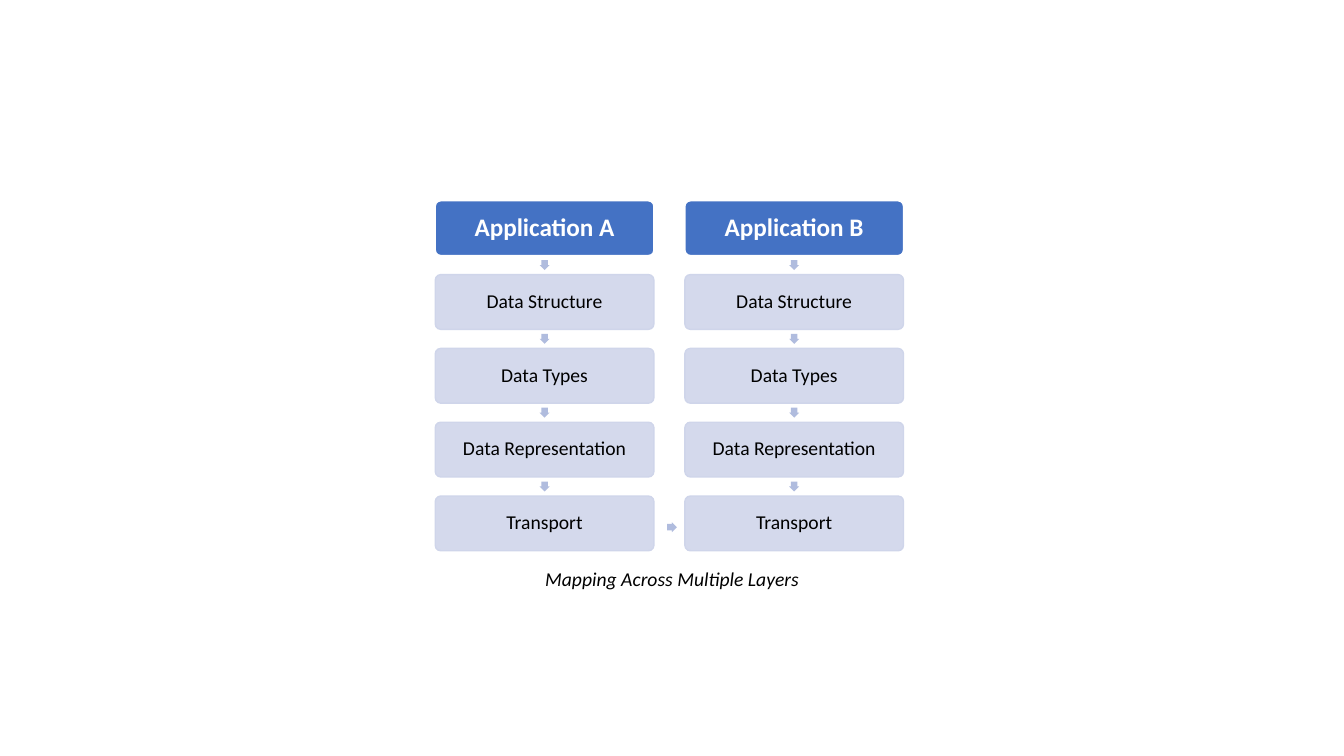
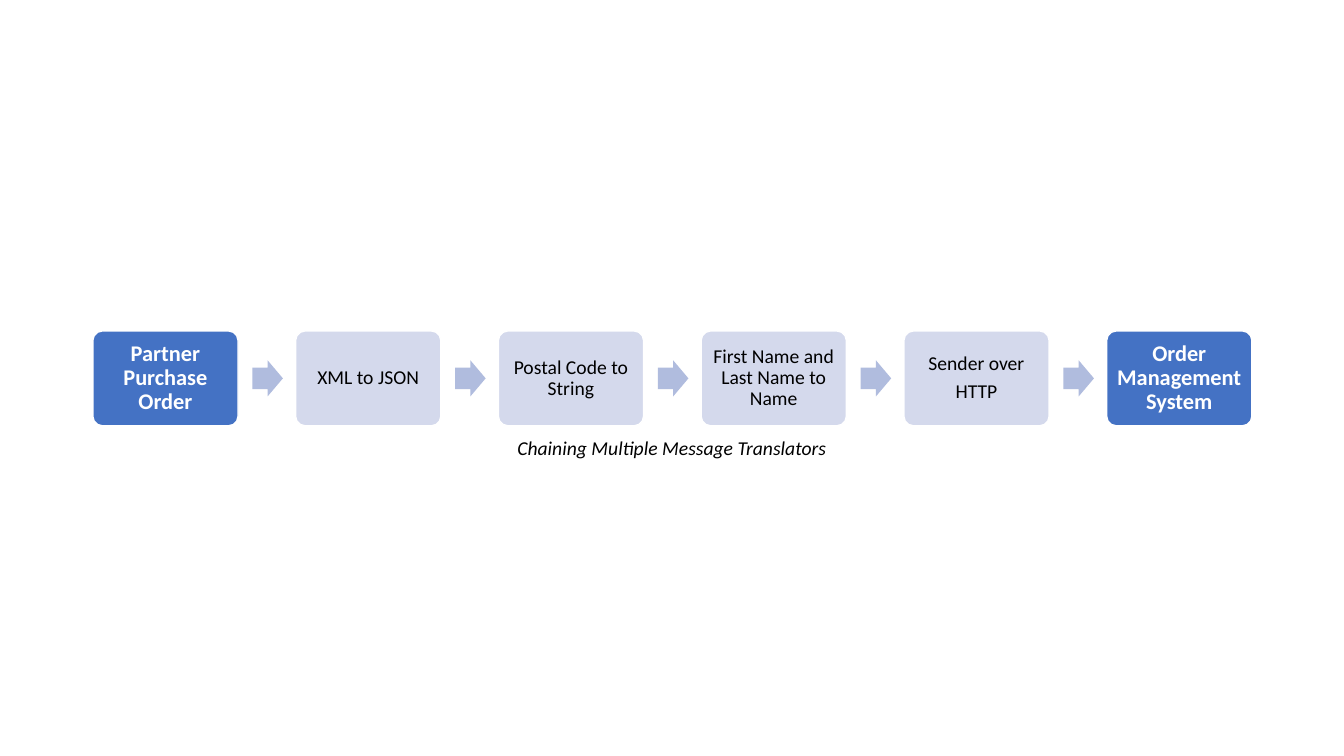
from pptx import Presentation
from pptx.dml.color import RGBColor
from pptx.enum import shapes, text
from pptx.util import Cm, Pt

COLORS = {
    "app": "4472C4", "step": "D4D9EC", "step_edge": "CFD5EA",
    "arrow": "B0BCDE", "white": "FFFFFF", "black": "000000",
}
FONT = "Calibri"
BODY_SIZE = 14
RIGHT = shapes.MSO_SHAPE.RIGHT_ARROW
DOWN = shapes.MSO_SHAPE.DOWN_ARROW

# Content: a list of lines is one paragraph per line
LAYERS = ["Data Structure", "Data Types", "Data Representation", "Transport"]
STACKS = [["Application A"] + LAYERS, ["Application B"] + LAYERS]
STACK_CAPTION = "Mapping Across Multiple Layers"

CHAIN = [
    ["Partner Purchase Order"],
    ["XML to JSON"],
    ["Postal Code to String"],
    ["First Name and Last Name to Name"],
    ["Sender over", "HTTP"],
    ["Order Management System"],
]
CHAIN_CAPTION = "Chaining Multiple Message Translators"


def rgb(name):
    return RGBColor.from_string(COLORS[name])


def add_filled(slide, kind, x, y, w, h, fill, adjustments, edge=None):
    sp = slide.shapes.add_shape(kind, Cm(x), Cm(y), Cm(w), Cm(h))
    sp.shadow.inherit = False
    for i, value in enumerate(adjustments):
        sp.adjustments[i] = value
    sp.fill.solid()
    sp.fill.fore_color.rgb = rgb(fill)
    if edge:
        sp.line.color.rgb = rgb(edge)
        sp.line.width = Pt(1)
    else:
        sp.line.fill.background()
    return sp


def add_run(p, words, size, color, bold=False, italic=False):
    p.alignment = text.PP_ALIGN.CENTER
    r = p.add_run()
    r.text = words
    r.font.name = FONT
    r.font.size = Pt(size)
    r.font.bold = bold
    r.font.italic = italic
    r.font.color.rgb = rgb(color)


def add_box(slide, x, y, w, h, lines, inset, app_size=None, edge="white"):
    """Draw a rounded box; app_size marks an application rather than a step."""
    fill, color = ("app", "white") if app_size else ("step", "black")
    size = app_size or BODY_SIZE
    sp = add_filled(slide, shapes.MSO_SHAPE.ROUNDED_RECTANGLE,
                    x, y, w, h, fill, [0.1], edge)
    tf = sp.text_frame
    tf.word_wrap = True
    tf.vertical_anchor = text.MSO_ANCHOR.MIDDLE
    tf.margin_left = tf.margin_right = Cm(inset)
    tf.margin_top = tf.margin_bottom = Cm(inset)
    for i, line in enumerate(lines):
        p = tf.add_paragraph() if i else tf.paragraphs[0]
        p.line_spacing = 0.9
        if i < len(lines) - 1:
            p.space_after = Pt(round(0.35 * size))
        add_run(p, line, size, color, bold=bool(app_size))


def add_caption(slide, x, y, w, words):
    tf = slide.shapes.add_textbox(Cm(x), Cm(y), Cm(w), Cm(0.86)).text_frame
    tf.word_wrap = False
    add_run(tf.paragraphs[0], words, BODY_SIZE, "black", italic=True)


def build_stacks(slide):
    left, top, w, h = 10.97, 5.06, 5.51, 1.38
    col_pitch, row_pitch = 6.29, 1.86
    arrow, arrow_shape = 0.25, [0.67, 0.5]
    for col, stack in enumerate(STACKS):
        x = left + col * col_pitch
        for row, label in enumerate(stack):
            y = top + row * row_pitch
            if row:
                add_box(slide, x, y, w, h, [label], 0.05, edge="step_edge")
                add_filled(slide, DOWN, x + (w - arrow) / 2,
                           y - (row_pitch - h + arrow) / 2,
                           arrow, arrow, "arrow", arrow_shape)
            else:
                add_box(slide, x, y, w, h, [label], 0.08, app_size=18)
    add_filled(slide, RIGHT, 16.81, 13.16, arrow, arrow, "arrow", arrow_shape)
    add_caption(slide, 13.46, 14.15, 6.96, STACK_CAPTION)


def build_chain(slide):
    left, top, w, h, pitch = 2.34, 8.34, 3.66, 2.39, 5.11
    arrow_w, arrow_h, arrow_gap = 0.77, 0.91, 0.36
    last = len(CHAIN) - 1
    for i, lines in enumerate(CHAIN):
        x = left + i * pitch
        if i in (0, last):
            add_box(slide, x, top, w, h, lines, 0.18, app_size=16)
        else:
            add_box(slide, x, top, w, h, lines, 0.15)
        if i < last:
            add_filled(slide, RIGHT, x + w + arrow_gap, top + (h - arrow_h) / 2,
                       arrow_w, arrow_h, "arrow", [0.6, 0.5])
    add_caption(slide, 12.73, 10.87, 8.41, CHAIN_CAPTION)


def main():
    prs = Presentation()
    prs.slide_width, prs.slide_height = Cm(33.87), Cm(19.05)
    for build in (build_stacks, build_chain):
        build(prs.slides.add_slide(prs.slide_layouts[6]))
    prs.save("out.pptx")


if __name__ == "__main__":
    main()
